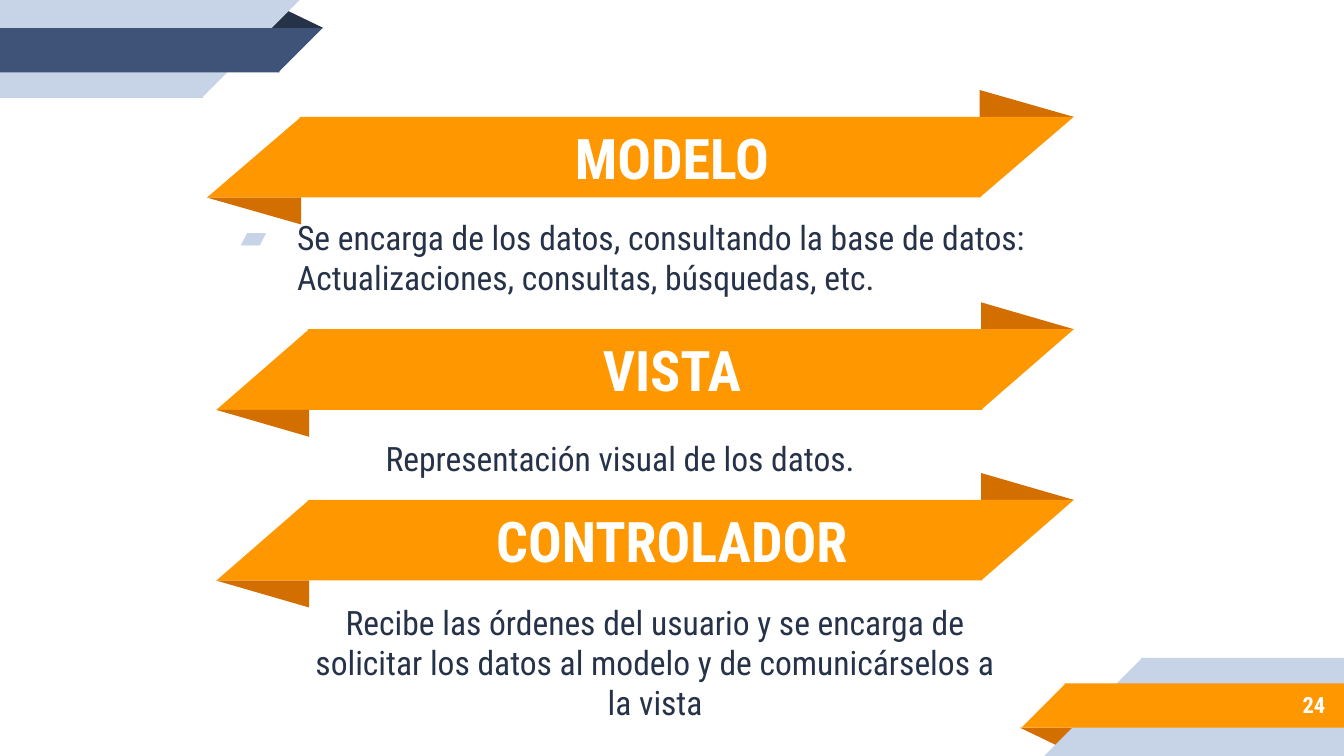
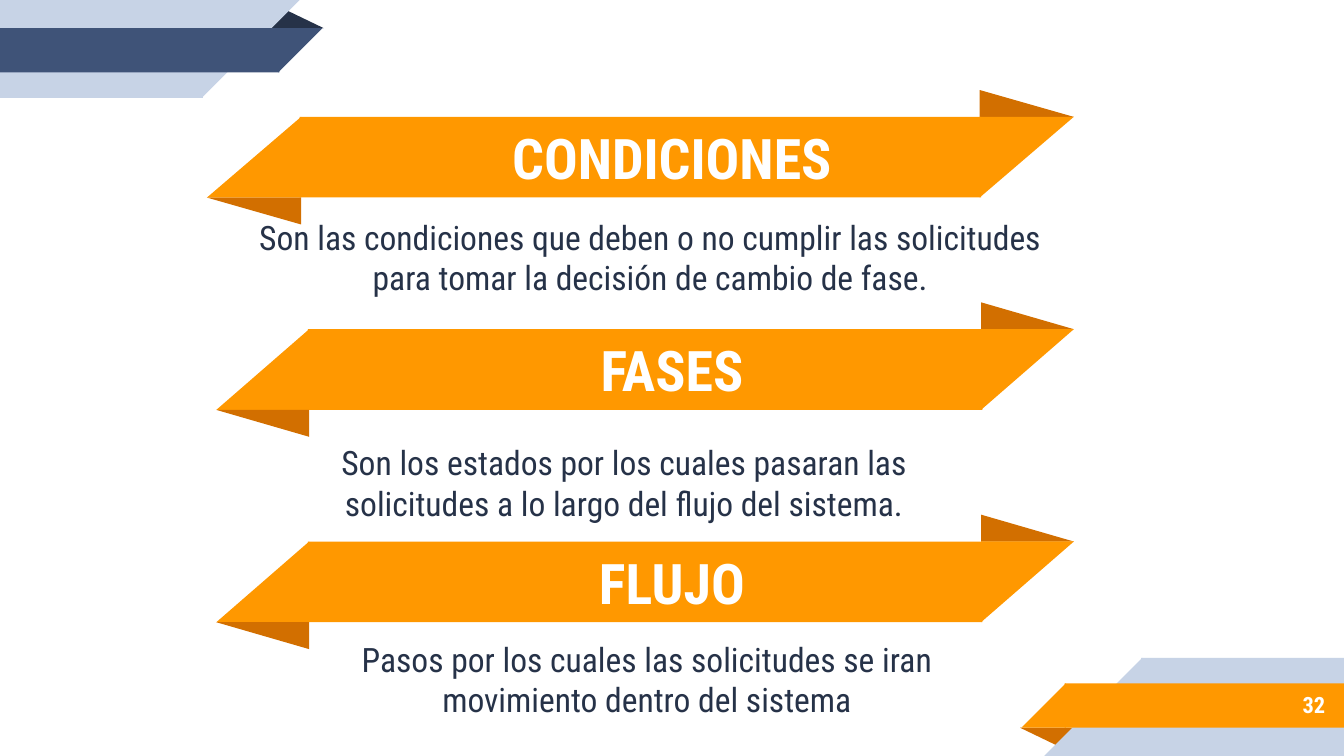
import pptx
import pptx.util
import pptx.dml.color
import pptx.enum.shapes
import pptx.enum.text
import pptx.oxml.ns
import lxml.etree

Inches = pptx.util.Inches
Pt = pptx.util.Pt
RGBColor = pptx.dml.color.RGBColor
SHAPE = pptx.enum.shapes.MSO_SHAPE
ALIGN = pptx.enum.text.PP_ALIGN
ANCHOR = pptx.enum.text.MSO_ANCHOR
qn = pptx.oxml.ns.qn

WHITE = RGBColor(0xFF, 0xFF, 0xFF)
ORANGE = RGBColor(0xFF, 0x98, 0x00)
DARK_ORANGE = RGBColor(0xD2, 0x6F, 0x00)
PALE_BLUE = RGBColor(0xC7, 0xD3, 0xE6)
BLUE = RGBColor(0x3F, 0x53, 0x78)
NAVY = RGBColor(0x26, 0x32, 0x48)
FONT = "Roboto Condensed"

WIDTH = 10
HEIGHT = WIDTH * 9 / 16
RIBBON_RIGHT, RIBBON_HEIGHT, FOLD_HEIGHT, OVERLAP = 7.99, 0.6, 0.2, 0.01

SLIDES = [
    {"number": "24", "sections": [
        {"title": "MODELO", "ribbon": (1.54, 0.87, 0.7), "at": (1.61, 1.66, 6.38, 0.51),
         "text": "Se encarga de los datos, consultando la base de datos: "
                 "Actualizaciones, consultas, búsquedas, etc.",
         "align": ALIGN.LEFT, "indent": (0.5, -0.42), "bullet": "▰", "after": 0},
        {"title": "VISTA", "ribbon": (1.61, 2.45, 0.69), "at": (1.98, 3.18, 5.33, 0.45),
         "text": "Representación visual de los datos. "},
        {"title": "CONTROLADOR", "ribbon": (1.61, 3.72, 0.69), "at": (2.23, 4.7, 5.29, 0.45),
         "text": "Recibe las órdenes del usuario y se encarga de solicitar los datos "
                 "al modelo y de comunicárselos a la vista"},
    ]},
    {"number": "32", "sections": [
        {"title": "CONDICIONES", "ribbon": (1.54, 0.87, 0.7), "at": (1.61, 1.66, 6.38, 0.51),
         "text": "Son las condiciones que deben o no cumplir las solicitudes "
                 "para tomar la decisión de cambio de fase.",
         "indent": (0.08, 0), "after": 0},
        {"title": "FASES", "ribbon": (1.61, 2.45, 0.69), "at": (1.98, 3.58, 5.33, 0.45),
         "text": "Son los estados por los cuales pasaran las solicitudes "
                 "a lo largo del flujo del sistema.",
         "anchor": ANCHOR.BOTTOM, "bottom": 0.14},
        {"title": "FLUJO", "ribbon": (1.61, 4.03, 0.69), "at": (2.33, 4.83, 4.97, 0.45),
         "text": "Pasos por los cuales las solicitudes se iran movimiento dentro del sistema"},
    ]},
]


def add_piece(group, kind, at, color, rotation=0, flip=False, apex=None):
    piece = group.shapes.add_shape(kind, *map(Inches, at))
    piece.shadow.inherit = False
    piece.fill.solid()
    piece.fill.fore_color.rgb = color
    piece.line.fill.background()
    piece.rotation = rotation
    if apex is not None:
        piece.adjustments[0] = apex
    if flip:
        piece._element.spPr.find(qn("a:xfrm")).set("flipV", "1")


def add_corner(page, band_color, fold_color, turned):
    group = page.shapes.add_group_shape()
    for kind, (left, top, width, height), color, flip, apex in [
        (SHAPE.ISOSCELES_TRIANGLE, (1.98, 0.07, 0.43, 0.14), fold_color, False, 0.324),
        (SHAPE.RECTANGLE, (0, 0, 1.5 + OVERLAP, 0.73), PALE_BLUE, False, None),
        (SHAPE.RIGHT_TRIANGLE, (1.5, 0, 0.73, 0.73), PALE_BLUE, True, None),
        (SHAPE.RECTANGLE, (0, 0.21, 2.08, 0.33), band_color, False, None),
        (SHAPE.RIGHT_TRIANGLE, (2.07, 0.21, 0.33, 0.33), band_color, True, None),
    ]:
        if turned:
            left, top = WIDTH - left - width, HEIGHT - top - height
        add_piece(group, kind, (left, top, width, height), color,
                  180 if turned else 0, flip, apex)


def add_ribbon(page, left, top, wing):
    group = page.shapes.add_group_shape()
    right_wing = RIBBON_RIGHT - wing
    middle = left + wing - OVERLAP
    bottom = top + RIBBON_HEIGHT
    add_piece(group, SHAPE.ISOSCELES_TRIANGLE,
              (right_wing, top - FOLD_HEIGHT, wing, FOLD_HEIGHT), DARK_ORANGE, apex=0)
    add_piece(group, SHAPE.RECTANGLE,
              (middle, top, right_wing + OVERLAP - middle, RIBBON_HEIGHT), ORANGE)
    add_piece(group, SHAPE.RIGHT_TRIANGLE,
              (right_wing, top, wing, RIBBON_HEIGHT), ORANGE, flip=True)
    add_piece(group, SHAPE.RIGHT_TRIANGLE,
              (left, top, wing, RIBBON_HEIGHT), ORANGE, rotation=180, flip=True)
    add_piece(group, SHAPE.ISOSCELES_TRIANGLE,
              (left, bottom, wing, FOLD_HEIGHT), DARK_ORANGE, rotation=180, apex=0)


def write(page, box, at, text, size, color, bold=False, align=ALIGN.CENTER,
          before=0, after=0, anchor=ANCHOR.MIDDLE, bottom=0.1):
    if box is None:
        box = page.shapes.add_textbox(*map(Inches, at))
    else:
        box.left, box.top, box.width, box.height = map(Inches, at)
        page.shapes._spTree.append(box._element)
    frame = box.text_frame
    frame.word_wrap = True
    frame.auto_size = pptx.enum.text.MSO_AUTO_SIZE.NONE
    frame.vertical_anchor = anchor
    frame.margin_left = frame.margin_right = frame.margin_top = Inches(0.1)
    frame.margin_bottom = Inches(bottom)
    para = frame.paragraphs[0]
    para.alignment = align
    para.line_spacing = 1.0
    para.space_before, para.space_after = Pt(before), Pt(after)
    span = para.add_run()
    span.text = text
    span.font.name = FONT
    span.font.size = Pt(size)
    span.font.bold = bold
    span.font.color.rgb = color
    return para


def set_indent(para, margin, first, bullet):
    properties = para._p.get_or_add_pPr()
    properties.set("marL", str(Inches(margin)))
    properties.set("indent", str(Inches(first)))
    if bullet:
        bullet_color = lxml.etree.SubElement(properties, qn("a:buClr"))
        lxml.etree.SubElement(bullet_color, qn("a:srgbClr"), val=str(PALE_BLUE))
        lxml.etree.SubElement(properties, qn("a:buChar"), char=bullet)


def add_section(page, section, title_box, body_box):
    top = section["ribbon"][1]
    write(page, title_box, (2.86, top + 0.01, 4.28, 0.58), section["title"], 30, WHITE, bold=True)
    para = write(page, body_box, section["at"], section["text"], 18, NAVY,
                 align=section.get("align", ALIGN.CENTER),
                 before=6, after=section.get("after", 10),
                 anchor=section.get("anchor", ANCHOR.MIDDLE),
                 bottom=section.get("bottom", 0.1))
    if "indent" in section:
        set_indent(para, *section["indent"], section.get("bullet"))


def main():
    deck = pptx.Presentation()
    deck.slide_width, deck.slide_height = Inches(WIDTH), Inches(HEIGHT)
    for content in SLIDES:
        page = deck.slides.add_slide(deck.slide_layouts[0])
        title_box, body_box = page.placeholders[0], page.placeholders[1]
        add_corner(page, ORANGE, DARK_ORANGE, turned=True)
        add_corner(page, BLUE, NAVY, turned=False)
        for section in content["sections"]:
            add_ribbon(page, *section["ribbon"])
        for section in content["sections"]:
            add_section(page, section, title_box, body_box)
            title_box = body_box = None
        write(page, None, (8.33, 5.07, 1.63, 0.35), content["number"], 12, WHITE,
              bold=True, align=ALIGN.RIGHT)
    deck.save("out.pptx")


if __name__ == "__main__":
    main()
